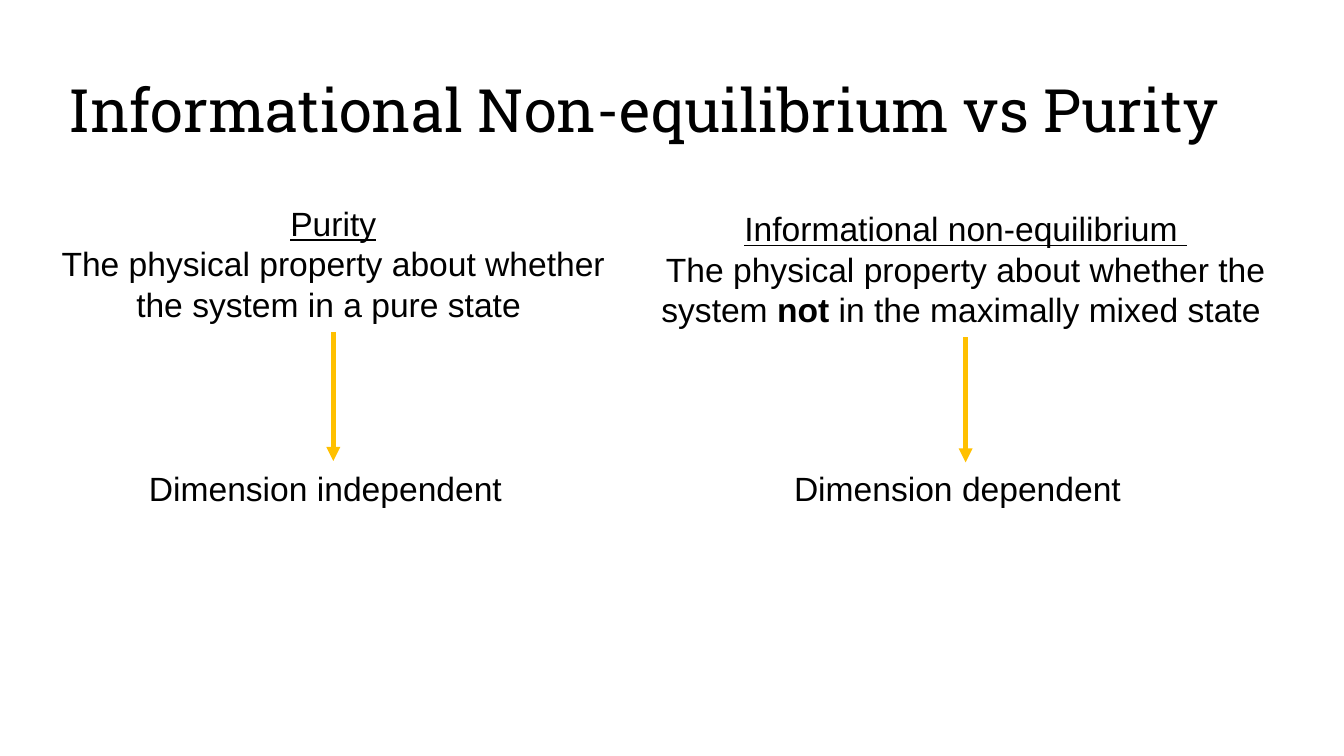
from dataclasses import dataclass

from pptx import Presentation
from pptx.dml.color import RGBColor
from pptx.enum.shapes import MSO_CONNECTOR
from pptx.enum.text import MSO_ANCHOR, MSO_AUTO_SIZE, PP_ALIGN
from pptx.oxml.ns import qn
from pptx.util import Inches, Pt
from lxml import etree

LEFT, CENTER = PP_ALIGN.LEFT, PP_ALIGN.CENTER
TOP, MIDDLE = MSO_ANCHOR.TOP, MSO_ANCHOR.MIDDLE
GROW, FIXED = MSO_AUTO_SIZE.SHAPE_TO_FIT_TEXT, MSO_AUTO_SIZE.NONE
STRAIGHT = MSO_CONNECTOR.STRAIGHT
BOTTOM = 2


@dataclass
class Theme:
    ink: RGBColor = RGBColor(0, 0, 0)
    gold: RGBColor = RGBColor(0xFF, 0xC0, 0x00)
    head: str = "Roboto Slab"
    body: str = "Arial"
    large: int = 32
    small: int = 18
    line: float = 2.5


class Deck:
    def __init__(self, theme, slide):
        self.theme = theme
        self.slide = slide

    def text(self, spot, paras, align=LEFT, **frame_style):
        """Each paragraph is a list of (text, font values) runs."""
        box = self.slide.shapes.add_textbox(*map(Inches, spot))
        frame = box.text_frame
        style = {"word_wrap": True, "auto_size": GROW, "vertical_anchor": TOP}
        for key, value in {**style, **frame_style}.items():
            setattr(frame, key, value)
        for i, runs in enumerate(paras):
            para = frame.add_paragraph() if i else frame.paragraphs[0]
            para.alignment = align
            for words, extra in runs:
                run = para.add_run()
                run.text = words
                base = {"name": self.theme.body, "size": Pt(self.theme.small)}
                for key, value in {**base, **extra}.items():
                    setattr(run.font, key, value)
                run.font.color.rgb = self.theme.ink
        return box

    def title(self, spot, words):
        font = {"name": self.theme.head, "size": Pt(self.theme.large)}
        box = self.text(spot, [[(words, font)]],
                        auto_size=FIXED, vertical_anchor=MIDDLE)
        box.text_frame.paragraphs[0].line_spacing = 0.9

    def arrow(self, box, end):
        """Point straight down from the bottom of a box."""
        x = box.left + box.width // 2
        link = self.slide.shapes.add_connector(
            STRAIGHT, x, box.top + box.height, x, Inches(end))
        link.begin_connect(box, BOTTOM)
        link.line.color.rgb = self.theme.gold
        link.line.width = Pt(self.theme.line)
        props = link._element.spPr
        etree.SubElement(props.find(qn("a:ln")), qn("a:tailEnd"),
                         type="triangle")
        etree.SubElement(props, qn("a:effectLst"))


def main():
    # Widescreen page, 16:9
    prs = Presentation()
    prs.slide_width = Inches(10)
    prs.slide_height = prs.slide_width * 9 // 16
    deck = Deck(Theme(), prs.slides.add_slide(prs.slide_layouts[6]))

    # Title
    deck.title((0.41, 0.3, 9.19, 1.09),
               "Informational Non-equilibrium vs Purity")

    # Two columns: definition, arrow, consequence
    under, bold = {"underline": True}, {"bold": True}
    columns = [
        ((0.2, 1.46, 4.56, 1.01), "Purity",
         [("The physical property about whether the system in a pure state ",
           {})],
         3.43, 1.01, "Dimension independent"),
        ((4.54, 1.5, 5.29, 1.01), "Informational non-equilibrium ",
         [("The physical property about whether the system ", {}),
          ("not", bold),
          (" in the maximally mixed state ", {})],
         3.44, 5.81, "Dimension dependent"),
    ]
    for spot, term, meaning, end, left, result in columns:
        box = deck.text(spot, [[(term, under)], meaning], CENTER)
        deck.text((left, 3.43, 4.2, 0.4), [[(result, {})]])
        deck.arrow(box, end)

    prs.save("out.pptx")


if __name__ == "__main__":
    main()
